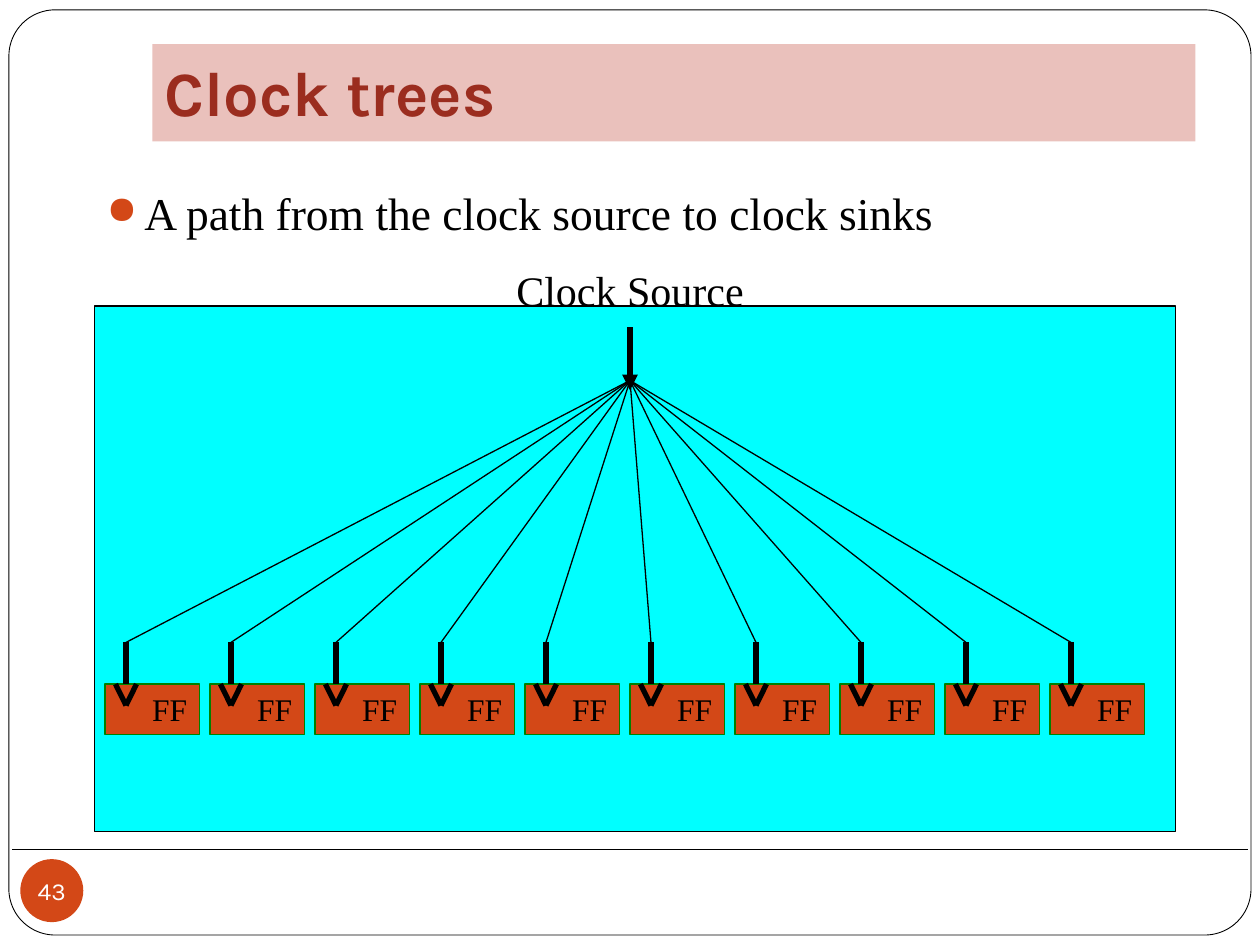
from lxml import etree
from pptx import Presentation
from pptx.dml.color import RGBColor
from pptx.enum import shapes, text
from pptx.oxml.ns import qn
from pptx.util import Cm, Pt

TITLE = "Clock trees"
BULLET = "A path from the clock source to clock sinks"
SOURCE = "Clock Source"
SINKS = ["FF"] * 10
PAGE = "43"

COLORS = {
    "white": "FFFFFF",
    "black": "000000",
    "cyan": "00FFFF",
    "pink": "EAC1BC",
    "brick": "9B2D1F",
    "orange": "D34817",
    "green": "008000",
}
SERIF, SANS = "Times New Roman", "Karla"
WIDTH, HEIGHT = 25.4, 19.05
PITCH = WIDTH / 12
SINK_LEFT, SINK_TOP = PITCH, 13.79
STEM_TOP = 12.95
NOTCH_DEPTH, NOTCH_HALF = 0.43, PITCH / 10
ROOT_X, ROOT_Y = WIDTH / 2, 7.67


def color(name):
    return RGBColor.from_string(COLORS[name])


def write(shape, words, font, size, ink, align=text.PP_ALIGN.LEFT, bold=False):
    shape.text_frame.text = words
    paragraph = shape.text_frame.paragraphs[0]
    paragraph.alignment = align
    run_font = paragraph.runs[0].font
    run_font.name, run_font.size, run_font.bold = font, Pt(size), bold
    run_font.color.rgb = color(ink)
    return paragraph


def add_block(kind, box, fill, outline=None, weight=0.75):
    block = slide.shapes.add_shape(kind, *map(Cm, box))
    block.shadow.inherit = False
    block.fill.solid()
    block.fill.fore_color.rgb = color(fill)
    if outline:
        block.line.color.rgb = color(outline)
        block.line.width = Pt(weight)
    else:
        block.line.fill.background()
    return block


def add_wire(start, end, weight, arrow=False):
    wire = slide.shapes.add_connector(
        shapes.MSO_CONNECTOR.STRAIGHT, *map(Cm, (*start, *end)))
    wire.line.color.rgb = color("black")
    wire.line.width = Pt(weight)
    if arrow:
        etree.SubElement(wire.line._get_or_add_ln(), qn("a:tailEnd"), type="triangle")
    etree.SubElement(wire._element.spPr, qn("a:effectLst"))


def add_label(box, words, size):
    label = slide.shapes.add_textbox(*map(Cm, box))
    label.text_frame.word_wrap = True
    return write(label, words, SERIF, size, "black")


def add_bullet(paragraph):
    props = paragraph._p.get_or_add_pPr()
    props.set("marL", str(Cm(0.76)))
    props.set("indent", str(-Cm(0.76)))
    tint = etree.SubElement(props, qn("a:buClr"))
    etree.SubElement(tint, qn("a:srgbClr"), val=COLORS["orange"])
    etree.SubElement(props, qn("a:buSzPct"), val="85000")
    etree.SubElement(props, qn("a:buChar"), char="●")


deck = Presentation()
deck.slide_width, deck.slide_height = Cm(WIDTH), Cm(HEIGHT)
slide = deck.slides.add_slide(deck.slide_layouts[5])

frame = add_block(shapes.MSO_SHAPE.ROUNDED_RECTANGLE,
                  (0.18, 0.2, 25.04, 18.65), "white", "black", 0.5)
frame.adjustments[0] = 0.05
add_wire((0.25, 17.12), (25.15, 17.12), 0.75)
add_block(shapes.MSO_SHAPE.RECTANGLE, (1.9, 6.17, 21.8, 10.6), "cyan", "black")

title = slide.shapes.title
slide.shapes._spTree.append(title._element)
title.left, title.top, title.width, title.height = map(Cm, (3.07, 0.89, 21.03, 1.96))
title.fill.solid()
title.fill.fore_color.rgb = color("pink")
write(title, TITLE, SANS, 36, "brick", bold=True)
title.text_frame.vertical_anchor = text.MSO_ANCHOR.BOTTOM
title.text_frame.auto_size = text.MSO_AUTO_SIZE.NONE
title.text_frame.margin_bottom = Cm(0.25)

add_bullet(add_label((1.9, 3.6, 21.6, 1.9), BULLET, 26))
add_wire((ROOT_X, 6.6), (ROOT_X, 7.87), 3, arrow=True)
add_label((10.16, 5.2, 5.5, 1.27), SOURCE, 24)

for index, name in enumerate(SINKS):
    left = SINK_LEFT + index * PITCH
    clock_x = left + 2 * NOTCH_HALF
    sink = add_block(shapes.MSO_SHAPE.RECTANGLE,
                     (left, SINK_TOP, 0.9 * PITCH, 1.02), "orange", "green")
    write(sink, name, SERIF, 18, "black", text.PP_ALIGN.RIGHT)
    sink.text_frame.vertical_anchor = text.MSO_ANCHOR.TOP
    for side in (-NOTCH_HALF, NOTCH_HALF):
        add_wire((clock_x + side, SINK_TOP), (clock_x, SINK_TOP + NOTCH_DEPTH), 3)
    add_wire((clock_x, STEM_TOP), (clock_x, SINK_TOP), 3)
    add_wire((ROOT_X, ROOT_Y), (clock_x, STEM_TOP), 0.75)

badge = add_block(shapes.MSO_SHAPE.OVAL, (0.41, 17.32, 1.27, 1.27), "orange")
write(badge, PAGE, SANS, 14, "white", text.PP_ALIGN.CENTER)
page = badge.text_frame
page.word_wrap = False
page.vertical_anchor = text.MSO_ANCHOR.MIDDLE
page.margin_left = page.margin_right = page.margin_top = page.margin_bottom = 0

deck.save("out.pptx")
